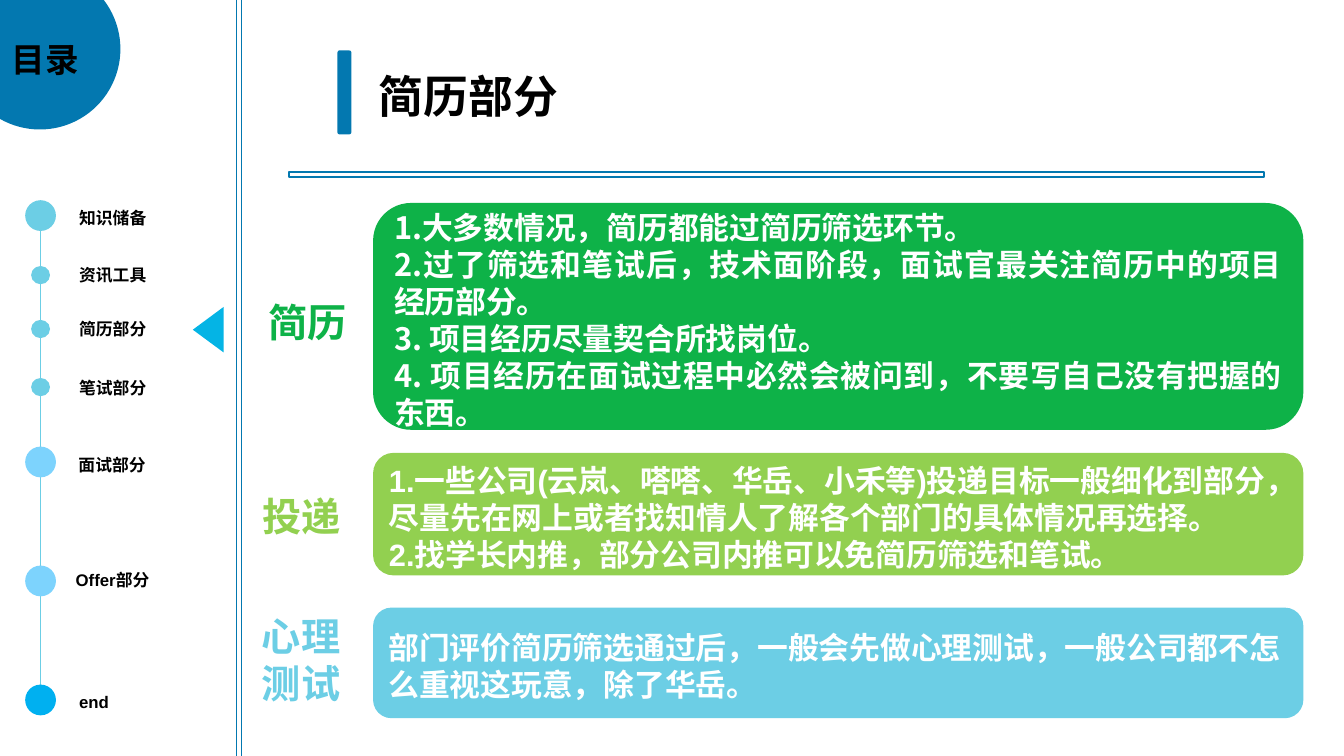
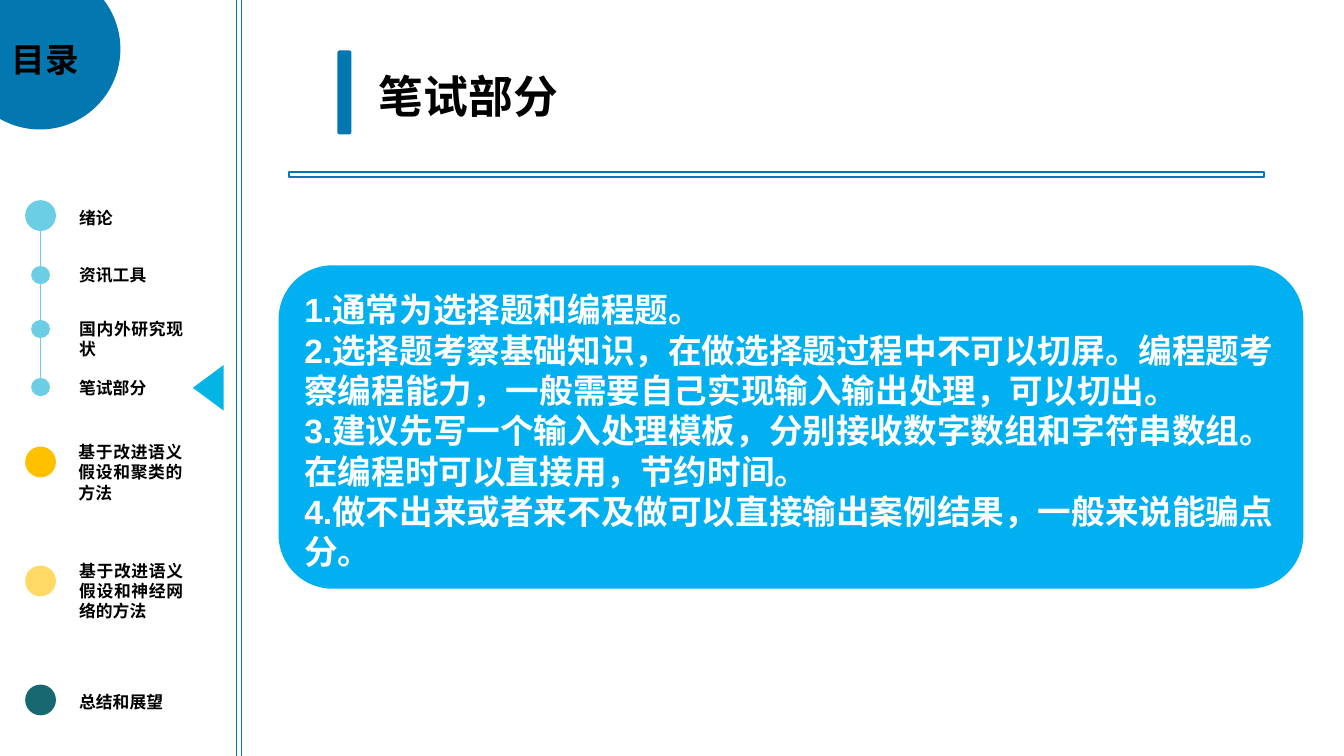
from pptx import Presentation
from pptx.dml.color import RGBColor
from pptx.enum.shapes import MSO_CONNECTOR, MSO_SHAPE as SHAPE
from pptx.enum.text import MSO_ANCHOR as ANCHOR, PP_ALIGN as ALIGN
from pptx.oxml.ns import qn
from pptx.util import Pt
from lxml import etree

COLORS = {
    "blue": "0378B0", "pointer": "04B4E5", "sky": "00B0F0", "pale": "6CCEE5",
    "light": "7DD3FD", "green": "0EB248", "lime": "92D050", "amber": "FFC000",
    "sand": "FFD966", "teal": "17696F", "black": "000000", "white": "FFFFFF",
}
LATIN, CJK = "Arial", "Noto Sans CJK SC"

# Sidebar dots: (top, width, height); each is centred on the same line
BIG, SMALL = (22, 22), (13.5, 13)
DOTS = [(143, *BIG), (190, *SMALL), (228.5, *SMALL), (270, *SMALL),
        (319, *BIG), (404, *BIG), (489, *BIG)]
DOT_X = 29

SLIDES = [
    {
        "title": "简历部分",
        "active": 2,
        "line_to": 6,
        # (label, left, top, dot colour)
        "menu": [
            ("知识储备", 49.5, 143.5, "pale"),
            ("资讯工具", 49.5, 184.5, "pale"),
            ("简历部分", 49.5, 223, "pale"),
            ("笔试部分", 49.5, 265, "pale"),
            ("面试部分", 49, 320, "light"),
            ("Offer部分", 47, 402.5, "light"),
            ("end", 49.5, 489, "sky"),
        ],
        # (box, colour, size, font, alignment, paragraphs)
        "panels": [
            ((266.5, 145, 664.5, 162), "green", 22, CJK, ALIGN.JUSTIFY, [
                "1.大多数情况，简历都能过简历筛选环节。",
                "2.过了筛选和笔试后，技术面阶段，面试官最关注简历中的项目经历部分。",
                "3. 项目经历尽量契合所找岗位。",
                "4. 项目经历在面试过程中必然会被问到，不要写自己没有把握的东西。",
            ]),
            ((266.5, 323.5, 664.5, 87.5), "lime", 22, LATIN, ALIGN.LEFT, [
                "1.一些公司(云岚、嗒嗒、华岳、小禾等)投递目标一般细化到部分，"
                "尽量先在网上或者找知情人了解各个部门的具体情况再选择。",
                "2.找学长内推，部分公司内推可以免简历筛选和笔试。",
            ]),
            ((266.5, 434, 664.5, 79), "pale", 22, LATIN, ALIGN.LEFT, [
                "部门评价简历筛选通过后，一般会先做心理测试，"
                "一般公司都不怎么重视这玩意，除了华岳。",
            ]),
        ],
        # (heading, box, colour)
        "headings": [
            ("简历", (184.5, 206.5, 91.5, 41), "green"),
            ("投递", (180.5, 345, 91.5, 41), "lime"),
            ("心理测试", (180, 431, 93, 75), "pale"),
        ],
    },
    {
        "title": "笔试部分",
        "active": 3,
        "line_to": 3,
        "menu": [
            ("绪论", 49.5, 143.5, "pale"),
            ("资讯工具", 49.5, 184.5, "pale"),
            ("国内外研究现状", 49.5, 223, "pale"),
            ("笔试部分", 49.5, 265, "pale"),
            ("基于改进语义假设和聚类的方法", 49, 311, "amber"),
            ("基于改进语义假设和神经网络的方法", 49.5, 395.5, "sand"),
            ("总结和展望", 49.5, 489, "teal"),
        ],
        "panels": [
            ((199, 189.5, 732, 231), "sky", 24, LATIN, ALIGN.LEFT, [
                "1.通常为选择题和编程题。",
                "2.选择题考察基础知识，在做选择题过程中不可以切屏。"
                "编程题考察编程能力，一般需要自己实现输入输出处理，可以切出。",
                "3.建议先写一个输入处理模板，分别接收数字数组和字符串数组。"
                "在编程时可以直接用，节约时间。",
                "4.做不出来或者来不及做可以直接输出案例结果，一般来说能骗点分。",
            ]),
        ],
        "headings": [],
    },
]


def rgb(name):
    return RGBColor.from_string(COLORS[name])


def add_shape(s, kind, box, fill=None, line=None):
    sp = s.shapes.add_shape(kind, *map(Pt, box))
    sp.shadow.inherit = False
    if fill:
        sp.fill.solid()
        sp.fill.fore_color.rgb = rgb(fill)
    else:
        sp.fill.background()
    if line:
        sp.line.color.rgb = rgb(line)
        sp.line.width = Pt(1)
    else:
        sp.line.fill.background()
    return sp


def write(sp, lines, size, color="black", font=LATIN, align=ALIGN.LEFT, anchor=ANCHOR.TOP):
    """Fill a shape with bold paragraphs on a fixed 1.2 line pitch."""
    tf = sp.text_frame
    tf.word_wrap = True
    tf.vertical_anchor = anchor
    # A tenth of the size lowers the text to offset the tight line pitch
    tf.margin_top, tf.margin_bottom = Pt(3.6 + size / 10), Pt(3.6 - size / 10)
    for i, line in enumerate(lines):
        p = tf.add_paragraph() if i else tf.paragraphs[0]
        p.alignment = align
        p.line_spacing = Pt(size * 1.2)
        p._p.get_or_add_pPr().set("hangingPunct", "1")
        r = p.add_run()
        r.text = line
        r.font.size, r.font.bold, r.font.name = Pt(size), True, font
        r.font.color.rgb = rgb(color)
        rPr = r._r.get_or_add_rPr()
        rPr.set("lang", "zh-CN")
        etree.SubElement(rPr, qn("a:ea")).set("typeface", CJK)


def add_label(s, text, box, size, **style):
    write(s.shapes.add_textbox(*map(Pt, box)), [text], size, **style)


def add_frame(s, title):
    """Draw the title, the rules and the contents badge."""
    add_label(s, title, (263.5, 42, 400, 46), 32)
    add_shape(s, SHAPE.ROUNDED_RECTANGLE, (241, 36, 10, 60), "blue")
    add_shape(s, SHAPE.RECTANGLE, (206.5, 123, 696.5, 3.6), line="blue")
    add_shape(s, SHAPE.RECTANGLE, (169, -5, 3.6, 567), line="blue")
    add_shape(s, SHAPE.OVAL, (-29, -22.5, 115, 115), "blue")
    add_label(s, "目录", (1.5, 21.5, 77, 36), 24, align=ALIGN.JUSTIFY)


def add_menu(s, menu, active, line_to):
    start = DOTS[0][0] + DOTS[0][2]
    line = s.shapes.add_connector(MSO_CONNECTOR.STRAIGHT, Pt(DOT_X), Pt(start),
                                  Pt(DOT_X), Pt(DOTS[line_to][0]))
    line.line.color.rgb = rgb("pale")
    line.line.width = Pt(0.5)
    etree.SubElement(line._element.spPr, qn("a:effectLst"))
    for (top, w, h), (text, left, label_top, color) in zip(DOTS, menu):
        add_shape(s, SHAPE.OVAL, (DOT_X - w / 2, top, w, h), color)
        add_label(s, text, (left, label_top, 88.5, 22), 12, align=ALIGN.JUSTIFY)
    top, _, h = DOTS[active]
    w, depth = 32.5, 22
    pointer = add_shape(s, SHAPE.ISOSCELES_TRIANGLE,
                        (132.5, top + h / 2 - depth / 2 + 0.5, w, depth), "pointer")
    pointer.rotation = 270


def main():
    prs = Presentation()
    prs.slide_width, prs.slide_height = Pt(960), Pt(540)
    for page in SLIDES:
        s = prs.slides.add_slide(prs.slide_layouts[6])
        add_frame(s, page["title"])
        add_menu(s, page["menu"], page["active"], page["line_to"])
        for box, color, size, font, align, lines in page["panels"]:
            panel = add_shape(s, SHAPE.ROUNDED_RECTANGLE, box, color)
            write(panel, lines, size, "white", font, align, ANCHOR.MIDDLE)
        for text, box, color in page["headings"]:
            add_label(s, text, box, 28, color=color)
    prs.save("out.pptx")


if __name__ == "__main__":
    main()
